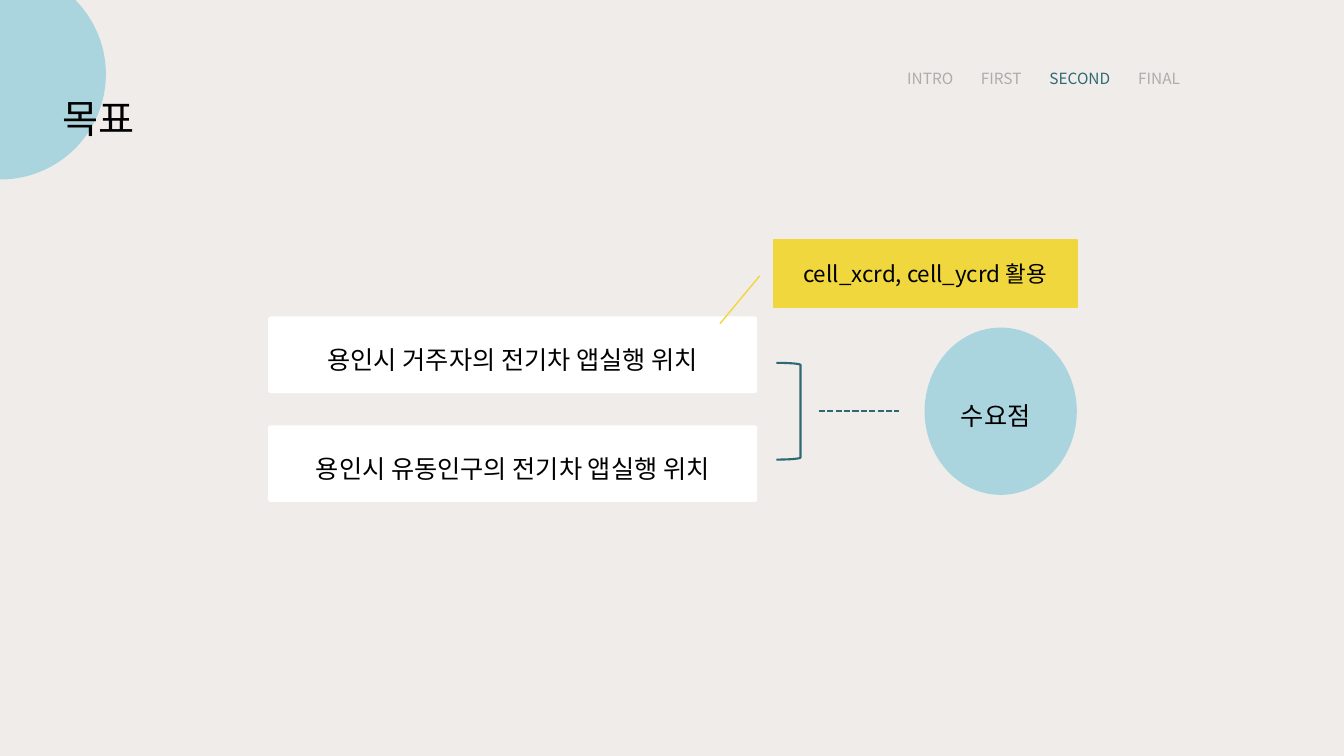
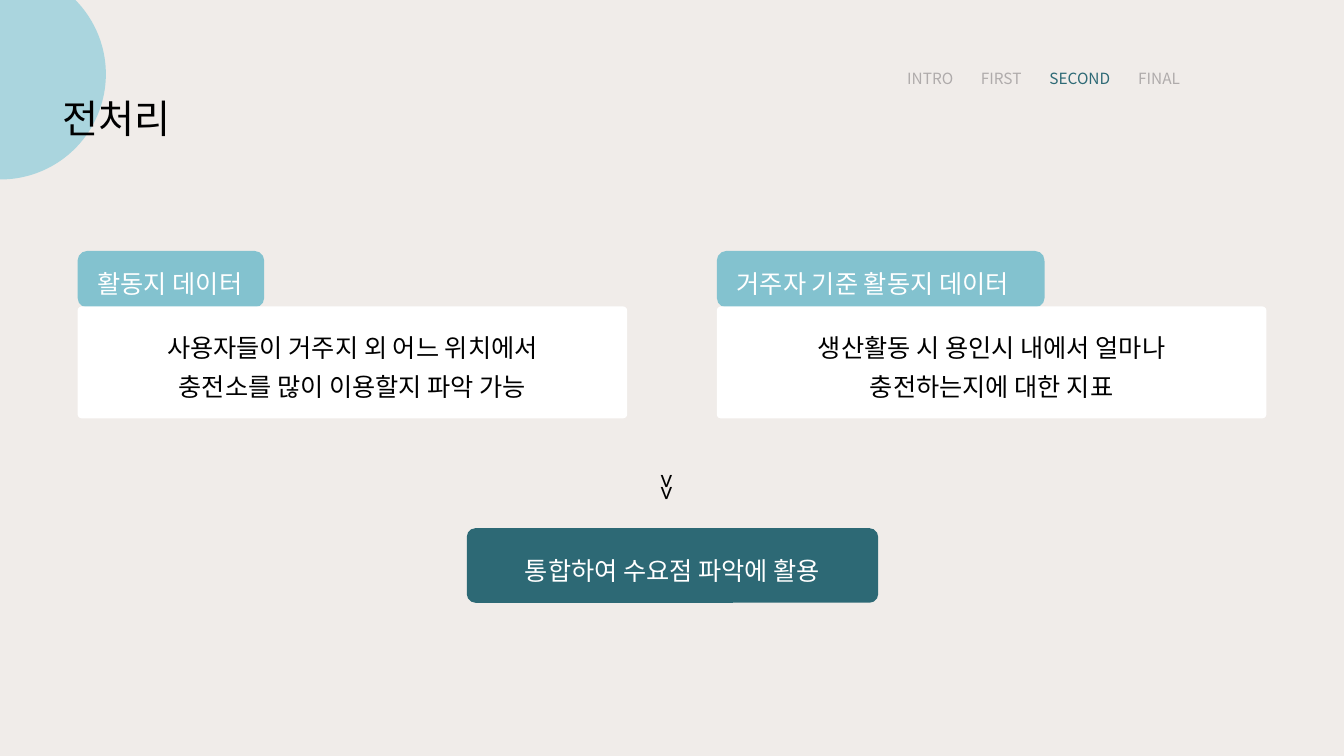
from lxml.etree import SubElement
from pptx import Presentation
from pptx.dml.color import RGBColor
from pptx.enum.dml import MSO_LINE
from pptx.enum.shapes import MSO_CONNECTOR, MSO_SHAPE
from pptx.enum.text import MSO_ANCHOR, MSO_AUTO_SIZE, PP_ALIGN
from pptx.oxml.ns import qn
from pptx.util import Inches, Pt

FONT = "Noto Sans CJK KR"
CREAM = RGBColor(0xF0, 0xEC, 0xE9)
PALE_BLUE = RGBColor(0xAA, 0xD5, 0xDE)
SKY_BLUE = RGBColor(0x83, 0xC2, 0xCF)
TEAL = RGBColor(0x2D, 0x69, 0x75)
YELLOW = RGBColor(0xF0, 0xD7, 0x3E)
GREY = RGBColor(0xAF, 0xAB, 0xAB)
WHITE = RGBColor(0xFF, 0xFF, 0xFF)
BLACK = RGBColor(0, 0, 0)

SECTIONS = ["INTRO", "FIRST", "SECOND", "FINAL"]
SECTION_TABS = [0.73, 1.41, 2.29]
CARD_ROUNDING = 0.035


def add_span(para, text, size=18, color=BLACK, tracking=None):
    span = para.add_run()
    span.text = text
    span.font.name = FONT
    span.font.size = Pt(size)
    span.font.color.rgb = color
    properties = span.font._element
    SubElement(properties, qn("a:ea")).set("typeface", FONT)
    if tracking is not None:
        properties.set("spc", str(tracking * 100))


def write_text(shape, text, align=PP_ALIGN.CENTER, anchor=MSO_ANCHOR.MIDDLE,
               spacing=1.3, left=0.1, right=0.1, **span_format):
    frame = shape.text_frame
    frame.word_wrap = True
    frame.auto_size = MSO_AUTO_SIZE.NONE
    frame.vertical_anchor = anchor
    frame.margin_left, frame.margin_right = Inches(left), Inches(right)
    frame.margin_top = frame.margin_bottom = Inches(0.05)
    para = frame.paragraphs[0]
    para.alignment = align
    para.line_spacing = spacing
    add_span(para, text, **span_format)
    return para


def add_box(page, kind, left, top, width, height, fill=None, line=None,
            weight=1, adjustments=()):
    box = page.shapes.add_shape(kind, Inches(left), Inches(top),
                                Inches(width), Inches(height))
    box.shadow.inherit = False
    if fill is None:
        box.fill.background()
    else:
        box.fill.solid()
        box.fill.fore_color.rgb = fill
    if line is None:
        box.line.fill.background()
    else:
        box.line.color.rgb = line
        box.line.width = Pt(weight)
    for index, value in enumerate(adjustments):
        box.adjustments[index] = value
    return box


def add_panel(page, left, top, width, height, fill, rounding):
    return add_box(page, MSO_SHAPE.ROUNDED_RECTANGLE, left, top, width, height,
                   fill=fill, adjustments=[rounding])


def add_dashed_line(page, left, right, y):
    line = page.shapes.add_connector(MSO_CONNECTOR.STRAIGHT, Inches(left),
                                     Inches(y), Inches(right), Inches(y))
    line.line.color.rgb = TEAL
    line.line.width = Pt(1.5)
    line.line.dash_style = MSO_LINE.SQUARE_DOT
    SubElement(line._element.spPr, qn("a:effectLst"))


def add_text_box(page, left, top, width, height, text, **text_format):
    box = page.shapes.add_textbox(Inches(left), Inches(top),
                                  Inches(width), Inches(height))
    return box, write_text(box, text, **text_format)


def add_navigation(page, current):
    colors = [TEAL if name == current else GREY for name in SECTIONS]
    box, para = add_text_box(page, 8.9, 0.58, 3.66, 0.33, SECTIONS[0], size=11,
                             color=colors[0], align=PP_ALIGN.LEFT,
                             anchor=MSO_ANCHOR.TOP)
    stops = SubElement(para._p.get_or_add_pPr(), qn("a:tabLst"))
    for position in SECTION_TABS:
        stop = SubElement(stops, qn("a:tab"))
        stop.set("pos", str(Inches(position)))
        stop.set("algn", "l")
    for name, color in zip(SECTIONS[1:], colors[1:]):
        add_span(para, "\t" + name, size=11, color=color)


def add_page(deck, heading):
    page = deck.slides.add_slide(deck.slide_layouts[5])
    title = page.shapes.title
    title.left, title.top = Inches(0.52), Inches(0.75)
    title.width, title.height = Inches(4), Inches(0.68)
    write_text(title, heading, size=28, align=PP_ALIGN.LEFT,
               anchor=MSO_ANCHOR.TOP)
    circle = add_box(page, MSO_SHAPE.OVAL, -1.04, -0.31, 2.09, 2.09,
                     fill=PALE_BLUE)
    title.element.addprevious(circle.element)
    add_navigation(page, "SECOND")
    return page


def add_topic(page, left, tab_width, label, description):
    tab = add_panel(page, left, 2.49, tab_width, 0.56, SKY_BLUE, 0.167)
    write_text(tab, label, color=WHITE, align=PP_ALIGN.LEFT, left=0.17, right=0)
    card = add_panel(page, left, 3.04, 5.45, 1.11, WHITE, CARD_ROUNDING)
    write_text(card, description, left=0.75, right=0.75)


def build_goal(deck):
    page = add_page(deck, "목표")
    sources = ["용인시 거주자의 전기차 앱실행 위치",
               "용인시 유동인구의 전기차 앱실행 위치"]
    for row, source in enumerate(sources):
        card = add_panel(page, 2.66, 3.14 + row * 1.08, 4.85, 0.76, WHITE,
                         CARD_ROUNDING)
        write_text(card, source)
    add_box(page, MSO_SHAPE.RIGHT_BRACKET, 7.7, 3.6, 0.24, 0.96,
            line=TEAL, weight=1.5)
    add_dashed_line(page, 8.12, 8.92, 4.08)
    demand = add_box(page, MSO_SHAPE.OVAL, 9.17, 3.25, 1.51, 1.66,
                     fill=PALE_BLUE)
    write_text(demand, "수요점", left=0, right=0.1)
    callout = add_box(page, MSO_SHAPE.LINE_CALLOUT_1, 7.67, 2.38, 3.01, 0.67,
                      fill=YELLOW, line=YELLOW,
                      adjustments=[0.533, -0.045, 1.241, -0.176])
    write_text(callout, "cell_xcrd, cell_ycrd 활용", size=16, spacing=1.0)


def build_preprocessing(deck):
    page = add_page(deck, "전처리")
    add_topic(page, 0.77, 1.85, "활동지 데이터",
              "사용자들이 거주지 외 어느 위치에서 충전소를 많이 이용할지 파악 가능")
    add_topic(page, 7.11, 3.25, "거주자 기준 활동지 데이터",
              "생산활동 시 용인시 내에서 얼마나 충전하는지에 대한 지표")
    result = add_panel(page, 4.63, 5.24, 4.08, 0.74, TEAL, 0.116)
    write_text(result, "통합하여 수요점 파악에 활용", color=WHITE)
    arrows, _ = add_text_box(page, 6.41, 4.6, 0.51, 0.47, ">>", tracking=-1)
    arrows.rotation = 90


def main():
    deck = Presentation()
    deck.slide_width, deck.slide_height = Inches(13.33), Inches(7.5)
    background = deck.slide_master.background.fill
    background.solid()
    background.fore_color.rgb = CREAM
    build_goal(deck)
    build_preprocessing(deck)
    deck.save("out.pptx")


if __name__ == "__main__":
    main()
